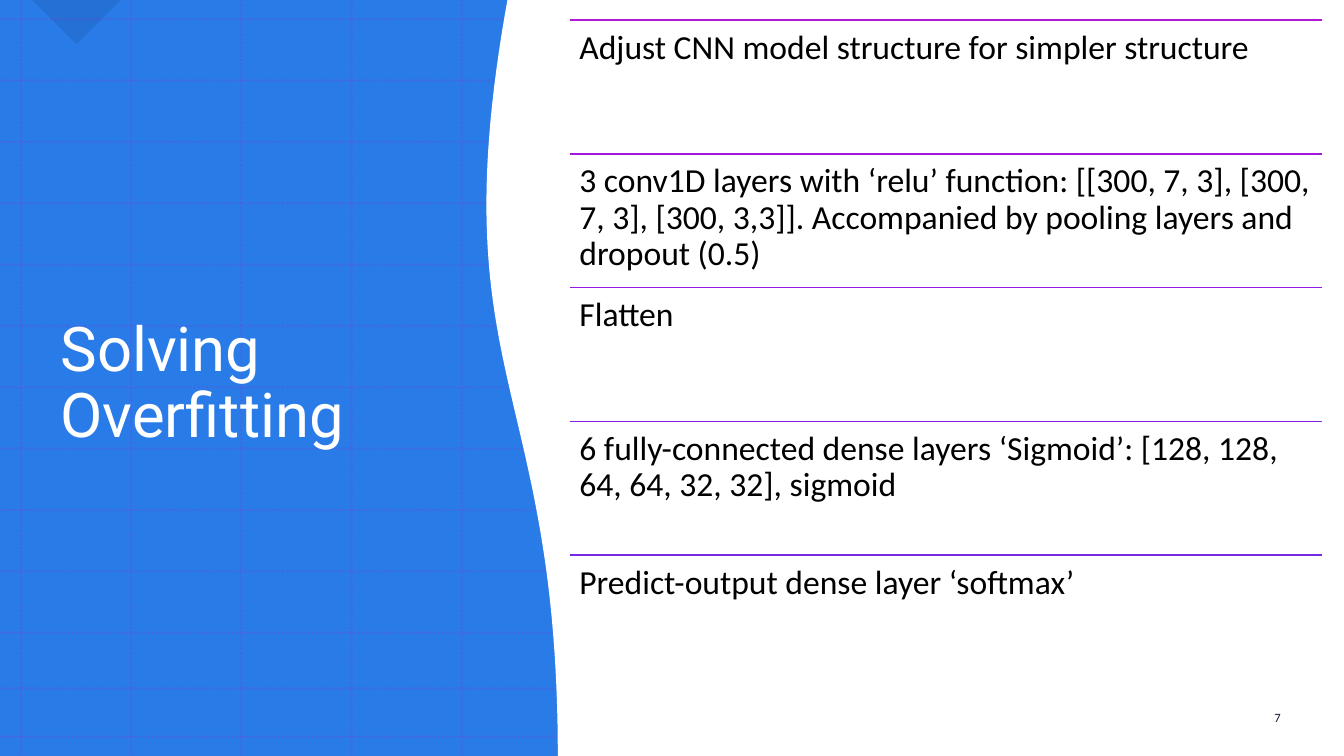
import lxml.etree
import pptx
import pptx.dml.color
import pptx.enum.dml
import pptx.enum.shapes
import pptx.enum.text
import pptx.oxml.ns
import pptx.util

Pt = pptx.util.Pt
Align = pptx.enum.text.PP_ALIGN
Anchor = pptx.enum.text.MSO_ANCHOR
Preset = pptx.enum.shapes.MSO_SHAPE

WIDTH, HEIGHT = 960, 540
TITLE = "Solving Overfitting"
PAGE_NUMBER = "7"
STEPS = [
    ("Adjust CNN model structure for simpler structure", "B217D5"),
    ("3 conv1D layers with ‘relu’ function: [[300, 7, 3], [300, 7, 3], [300, 3,3]]. "
     "Accompanied by pooling layers and dropout (0.5)", "A418DD"),
    ("Flatten", "9519E5"),
    ("6 fully-connected dense layers ‘Sigmoid’: [128, 128, 64, 64, 32, 32], sigmoid", "8421E6"),
    ("Predict-output dense layer ‘softmax’", "7529E7"),
]
BLUE, NAVY, PURPLE, WHITE = "297BE7", "0E3D7A", "B217D5", "FFFFFF"

STEP_LEFT, STEP_TOP, STEP_WIDTH, STEP_HEIGHT = 406.8, 14.4, 537.8, 95.5
GRID_COLUMNS = [15 + 78.7 * i for i in range(5)]
GRID_ROWS = [13.7 + 43.83 * i for i in range(11)] + [491.8, 526.3]
WAVE_CURVE = [(399, 540), (399, 270.5), (314.5, 269.5), (363, 0)]
WAVE_SEGMENTS = 60


def color(value):
    return pptx.dml.color.RGBColor.from_string(value)


def set_opacity(shape, percent):
    for node in list(shape.element.iter(pptx.oxml.ns.qn("a:srgbClr"))):
        alpha = lxml.etree.SubElement(node, pptx.oxml.ns.qn("a:alpha"))
        alpha.set("val", str(percent * 1000))


def style_shape(shape, fill, line=None):
    shape.shadow.inherit = False
    shape.fill.solid()
    shape.fill.fore_color.rgb = color(fill)
    if line:
        shape.line.color.rgb = color(line)
        shape.line.width = Pt(1)
    else:
        shape.line.fill.background()


def add_preset(slide, preset, left, top, width, height, fill):
    shape = slide.shapes.add_shape(preset, Pt(left), Pt(top), Pt(width), Pt(height))
    style_shape(shape, fill)
    return shape


def add_line(slide, start, end, stroke, width):
    line = slide.shapes.add_connector(
        pptx.enum.shapes.MSO_CONNECTOR.STRAIGHT, *map(Pt, (*start, *end)))
    line.line.color.rgb = color(stroke)
    line.line.width = Pt(width)
    properties = line.element.find(pptx.oxml.ns.qn("p:spPr"))
    lxml.etree.SubElement(properties, pptx.oxml.ns.qn("a:effectLst"))
    return line


def write_text(shape, text, size, font, fill, anchor=Anchor.TOP, align=Align.LEFT,
               line_spacing=1.0, space_after=0, inset=(7.2, 3.6), tracking=0):
    frame = shape.text_frame
    frame.word_wrap = True
    frame.auto_size = pptx.enum.text.MSO_AUTO_SIZE.NONE
    frame.vertical_anchor = anchor
    frame.margin_left = frame.margin_right = Pt(inset[0])
    frame.margin_top = frame.margin_bottom = Pt(inset[1])
    paragraph = frame.paragraphs[0]
    paragraph.alignment = align
    paragraph.line_spacing = line_spacing
    paragraph.space_after = Pt(space_after)
    run = paragraph.add_run()
    run.text = text
    run.font.size = Pt(size)
    run.font.name = font
    run.font.color.rgb = color(fill)
    if tracking:
        run.font._element.set("spc", str(int(tracking * 100)))


def add_text(slide, text, left, top, width, height, **text_format):
    box = slide.shapes.add_textbox(Pt(left), Pt(top), Pt(width), Pt(height))
    write_text(box, text, **text_format)


def curve_point(t):
    """Return the point at t on the cubic Bezier edge of the wave."""
    weights = ((1 - t) ** 3, 3 * t * (1 - t) ** 2, 3 * t ** 2 * (1 - t), t ** 3)
    return tuple(sum(w * point[axis] for w, point in zip(weights, WAVE_CURVE))
                 for axis in (0, 1))


def add_wave(slide):
    edge = [curve_point(i / WAVE_SEGMENTS) for i in range(WAVE_SEGMENTS + 1)]
    builder = slide.shapes.build_freeform(Pt(WIDTH), Pt(0))
    points = [(WIDTH, HEIGHT)] + edge
    builder.add_line_segments([(Pt(x), Pt(y)) for x, y in points], close=True)
    wave = builder.convert_to_shape()
    style_shape(wave, WHITE, WHITE)


def add_panel(slide):
    add_preset(slide, Preset.RECTANGLE, 0, 0, WIDTH, HEIGHT, BLUE)
    triangle = add_preset(slide, Preset.RIGHT_TRIANGLE, 32.4, -22.3, 44.6, 44.6, NAVY)
    triangle.rotation = 315
    set_opacity(triangle, 17)
    grid = [((x, 0), (x, HEIGHT)) for x in GRID_COLUMNS]
    grid += [((0, y), (WIDTH, y)) for y in GRID_ROWS]
    for start, end in grid:
        line = add_line(slide, start, end, PURPLE, 1.5)
        line.line.dash_style = pptx.enum.dml.MSO_LINE.ROUND_DOT
        set_opacity(line, 20)


def add_title(slide):
    title = slide.shapes.title
    title.left, title.top, title.width, title.height = map(Pt, (36, 56.9, 293.8, 435.6))
    write_text(title, TITLE, size=44, font="Roboto", fill=WHITE,
               anchor=Anchor.MIDDLE, line_spacing=0.9)
    # Bring the title in front of the blue panel
    slide.shapes[-1].element.addnext(title.element)


def add_steps(slide):
    for index, (text, stroke) in enumerate(STEPS):
        top = STEP_TOP + index * STEP_HEIGHT
        add_line(slide, (STEP_LEFT, top), (STEP_LEFT + STEP_WIDTH, top), stroke, 1)
        add_text(slide, text, STEP_LEFT, top, STEP_WIDTH, STEP_HEIGHT,
                 size=24, font="Calibri", fill="000000", line_spacing=0.9,
                 space_after=8.4, inset=(7.2, 7.2))


def main():
    presentation = pptx.Presentation()
    presentation.slide_width, presentation.slide_height = Pt(WIDTH), Pt(HEIGHT)
    slide = presentation.slides.add_slide(presentation.slide_layouts.get_by_name("Title Only"))
    add_panel(slide)
    add_title(slide)
    add_wave(slide)
    add_text(slide, PAGE_NUMBER, 881.3, 498.2, 62.6, 28.8, size=9, font="Calibri",
             fill="171734", anchor=Anchor.MIDDLE, align=Align.CENTER,
             space_after=6, tracking=1.5)
    add_steps(slide)
    presentation.save("out.pptx")


if __name__ == "__main__":
    main()
